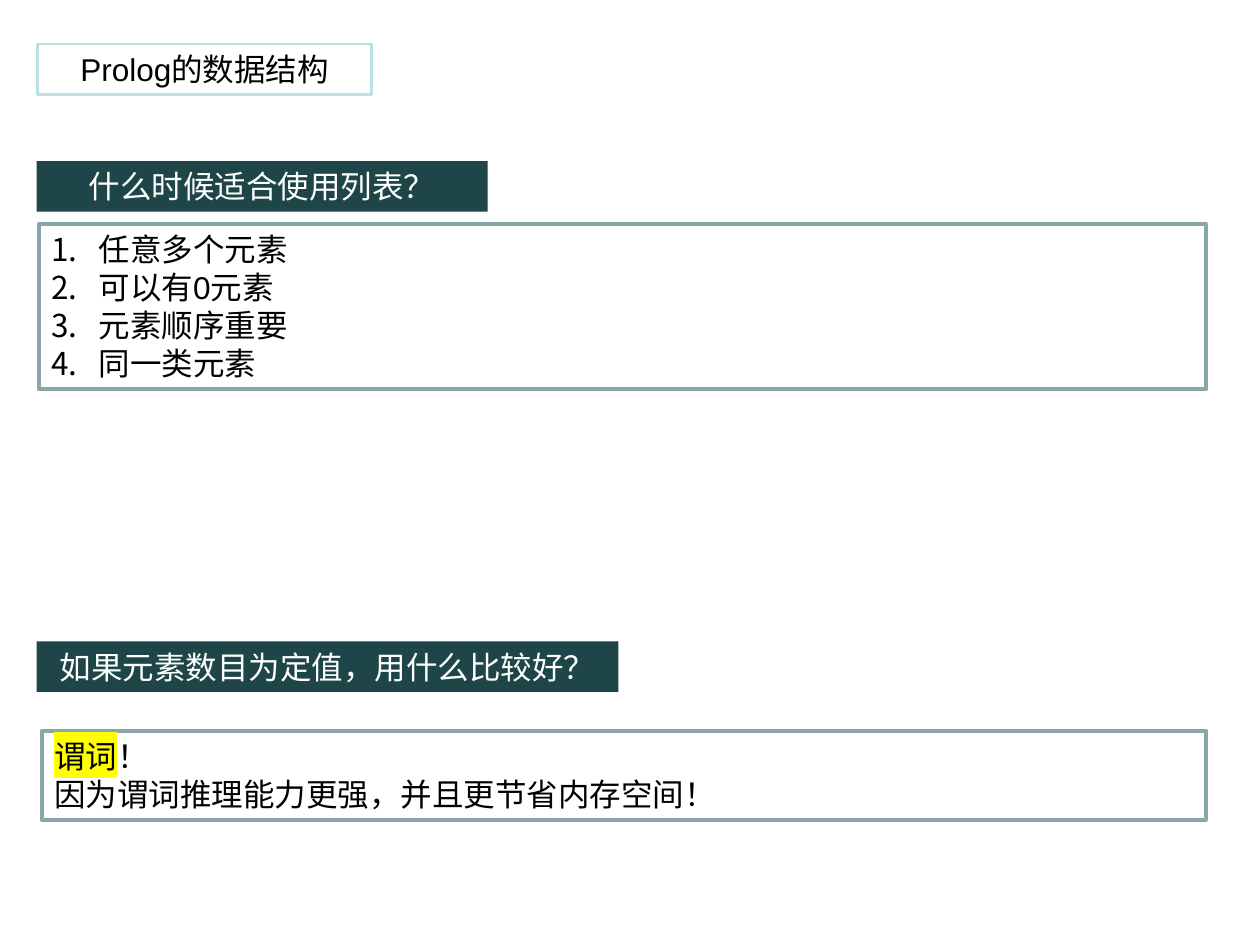
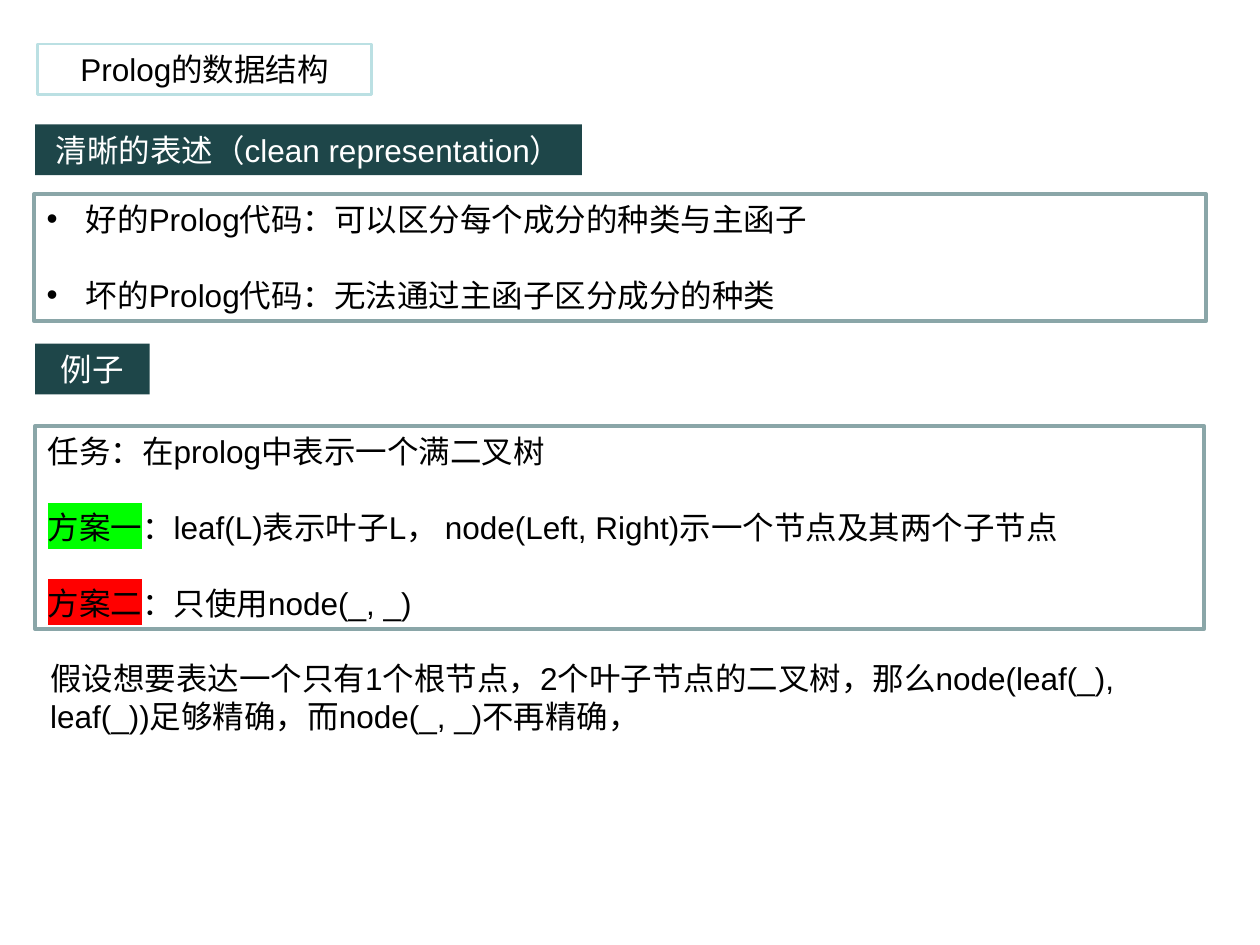
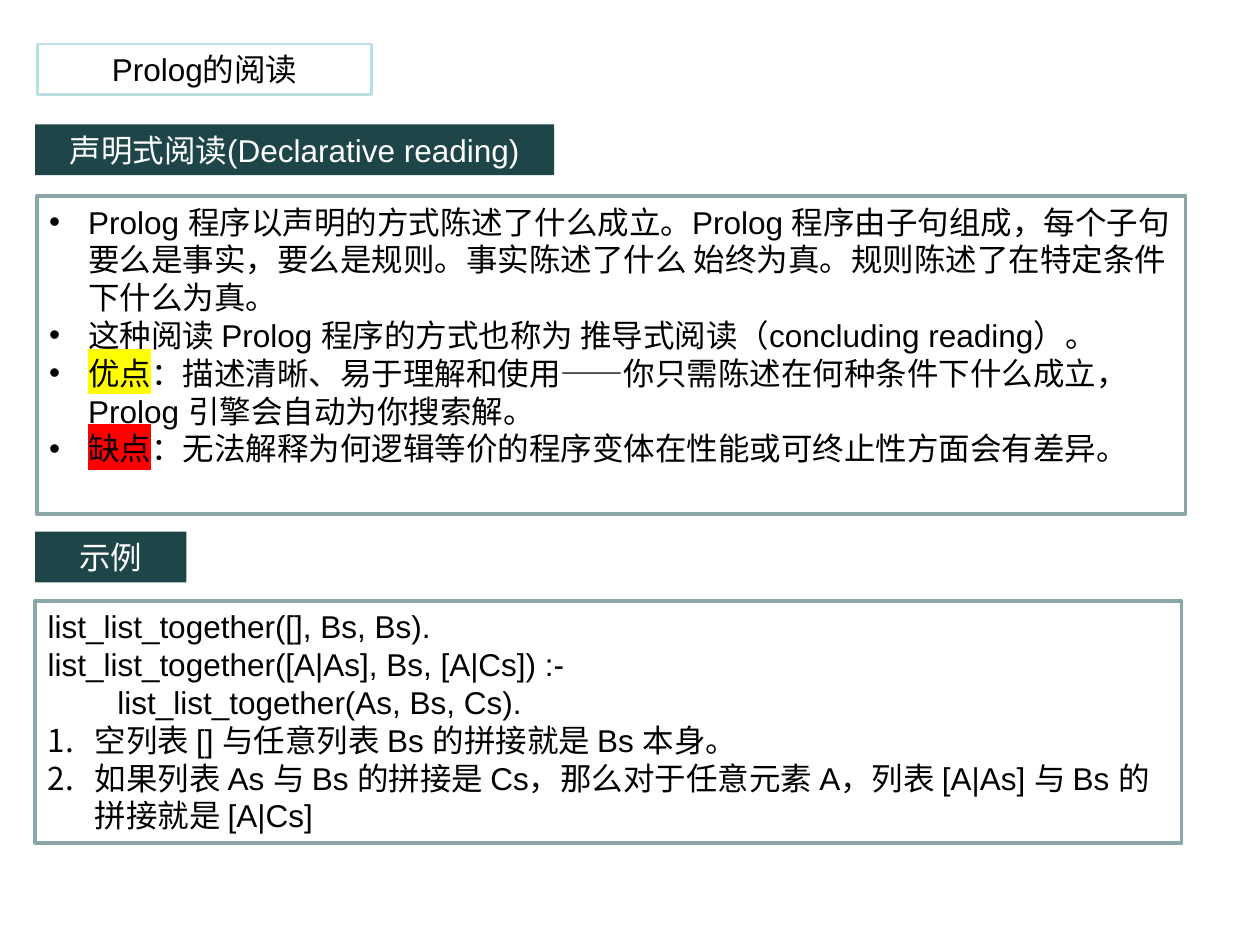
from dataclasses import dataclass

from lxml.etree import SubElement
from pptx import Presentation
from pptx.dml.color import RGBColor
from pptx.enum.lang import MSO_LANGUAGE_ID
from pptx.enum.shapes import MSO_SHAPE
from pptx.enum.text import MSO_ANCHOR, PP_ALIGN
from pptx.oxml.ns import qn
from pptx.util import Cm, Pt


@dataclass(frozen=True)
class Theme:
    font: str = "Arial"
    size: float = 18
    text: str = "000000"
    band_text: str = "FFFFFF"
    band: str = "1E4649"
    title_line: str = "BBE0E3"
    panel_line: str = "8AA6A8"
    title_weight: float = 1.5
    panel_weight: float = 2.25
    blank_line: float = 21.7


@dataclass(frozen=True)
class Line:
    text: str
    marker: str = ""       # "dot", "number" or nothing
    key: str = ""          # highlighted words in front of the text
    highlight: str = ""
    spaced: bool = False   # one line of space above


THEME = Theme()
YELLOW, GREEN, RED = "FFFF00", "00FF00", "FF0000"
LABEL_HEIGHT = 1.02
TITLE_PLACE = (0.76, 0.89, 6.73)
INDENTS = {"dot": 0.79, "number": 0.95}

# Bands: (left, top, width, text). Panels and notes: (left, top, width, height, lines). In cm.
SLIDES = [
    {
        "title": "Prolog的数据结构",
        "bands": [
            (0.74, 3.25, 9.09, "什么时候适合使用列表？"),
            (0.74, 12.93, 11.73, "如果元素数目为定值，用什么比较好？"),
        ],
        "panels": [
            (0.79, 4.52, 23.52, 3.33, [
                Line("任意多个元素", "number"),
                Line("可以有0元素", "number"),
                Line("元素顺序重要", "number"),
                Line("同一类元素", "number"),
            ]),
            (0.84, 14.73, 23.47, 1.8, [
                Line("！", key="谓词", highlight=YELLOW),
                Line("因为谓词推理能力更强，并且更节省内存空间！"),
            ]),
        ],
        "notes": [],
    },
    {
        "title": "Prolog的数据结构",
        "bands": [
            (0.71, 2.51, 11.02, "清晰的表述（clean representation）"),
            (0.71, 6.93, 2.31, "例子"),
        ],
        "panels": [
            (0.69, 3.91, 23.62, 2.57, [
                Line("好的Prolog代码：可以区分每个成分的种类与主函子", "dot"),
                Line("坏的Prolog代码：无法通过主函子区分成分的种类", "dot", spaced=True),
            ]),
            (0.71, 8.59, 23.57, 4.09, [
                Line("任务：在prolog中表示一个满二叉树"),
                Line("：leaf(L)表示叶子L， node(Left, Right)示一个节点及其两个子节点",
                     key="方案一", highlight=GREEN, spaced=True),
                Line("：只使用node(_, _)", key="方案二", highlight=RED, spaced=True),
            ]),
        ],
        "notes": [
            (0.76, 13.16, 23.55, 1.8, [
                Line("假设想要表达一个只有1个根节点，2个叶子节点的二叉树，那么"
                     "node(leaf(_), leaf(_))足够精确，而node(_, _)不再精确，"),
            ]),
        ],
    },
    {
        "title": "Prolog的阅读",
        "bands": [
            (0.71, 2.51, 10.46, "声明式阅读(Declarative reading)"),
            (0.71, 10.72, 3.05, "示例"),
        ],
        "panels": [
            (0.74, 3.96, 23.16, 6.4, [
                Line("Prolog 程序以声明的方式陈述了什么成立。Prolog 程序由子句组成，"
                     "每个子句要么是事实，要么是规则。事实陈述了什么 始终为真。"
                     "规则陈述了在特定条件下什么为真。", "dot"),
                Line("这种阅读 Prolog 程序的方式也称为 推导式阅读（concluding reading）。", "dot"),
                Line("：描述清晰、易于理解和使用——你只需陈述在何种条件下什么成立，"
                     "Prolog 引擎会自动为你搜索解。", "dot", "优点", YELLOW),
                Line("：无法解释为何逻辑等价的程序变体在性能或可终止性方面会有差异。",
                     "dot", "缺点", RED),
            ]),
            (0.71, 12.12, 23.11, 4.88, [
                Line("list_list_together([], Bs, Bs)."),
                Line("list_list_together([A|As], Bs, [A|Cs]) :-"),
                Line("        list_list_together(As, Bs, Cs)."),
                Line("空列表 [] 与任意列表 Bs 的拼接就是 Bs 本身。", "number"),
                Line("如果列表 As 与 Bs 的拼接是 Cs，那么对于任意元素 A，"
                     "列表 [A|As] 与 Bs 的拼接就是 [A|Cs]", "number"),
            ]),
        ],
        "notes": [],
    },
]


def format_run(run, color, highlight=""):
    font = run.font
    font.size = Pt(THEME.size)
    font.color.rgb = RGBColor.from_string(color)
    font.language_id = MSO_LANGUAGE_ID.SIMPLIFIED_CHINESE
    if highlight:
        properties = run._r.get_or_add_rPr()
        mark = SubElement(properties, qn("a:highlight"))
        SubElement(mark, qn("a:srgbClr"), val=highlight)
    font.name = THEME.font


def add_marker(paragraph, marker):
    properties = paragraph._p.get_or_add_pPr()
    indent = Cm(INDENTS[marker])
    properties.set("marL", str(indent))
    properties.set("indent", str(-indent))
    if marker == "dot":
        SubElement(properties, qn("a:buFont"), typeface=THEME.font)
        SubElement(properties, qn("a:buChar"), char="•")
    else:
        SubElement(properties, qn("a:buAutoNum"), type="arabicPeriod")


def write_lines(shape, lines, color=THEME.text, alignment=PP_ALIGN.LEFT, wrap=True):
    text_frame = shape.text_frame
    text_frame.word_wrap = wrap
    text_frame.vertical_anchor = MSO_ANCHOR.TOP
    text_frame.text = "\n".join(line.key or line.text for line in lines)
    for paragraph, line in zip(text_frame.paragraphs, lines):
        if line.marker:
            add_marker(paragraph, line.marker)
        paragraph.alignment = alignment
        if line.spaced:
            paragraph.space_before = Pt(THEME.blank_line)
        if line.key:
            paragraph.add_run().text = line.text
        for run, highlight in zip(paragraph.runs, (line.highlight, "")):
            format_run(run, color, highlight)


def add_box(slide, place, fill=None, line=None, weight=0):
    shape = slide.shapes.add_shape(MSO_SHAPE.RECTANGLE, *map(Cm, place))
    shape.shadow.inherit = False
    if fill:
        shape.fill.solid()
        shape.fill.fore_color.rgb = RGBColor.from_string(fill)
    else:
        shape.fill.background()
    if line:
        shape.line.color.rgb = RGBColor.from_string(line)
        shape.line.width = Pt(weight)
    else:
        shape.line.fill.background()
    return shape


def add_label(slide, place, text, color, **style):
    shape = add_box(slide, (*place, LABEL_HEIGHT), **style)
    write_lines(shape, [Line(text)], color, PP_ALIGN.CENTER, wrap=False)


def build_slide(presentation, content):
    slide = presentation.slides.add_slide(presentation.slide_layouts[6])
    # Title
    add_label(slide, TITLE_PLACE, content["title"], THEME.text,
              line=THEME.title_line, weight=THEME.title_weight)
    # Section bands
    for *place, text in content["bands"]:
        add_label(slide, place, text, THEME.band_text, fill=THEME.band)
    # Framed panels
    for *place, lines in content["panels"]:
        panel = add_box(slide, place, line=THEME.panel_line, weight=THEME.panel_weight)
        write_lines(panel, lines)
    # Unframed notes
    for *place, lines in content["notes"]:
        write_lines(slide.shapes.add_textbox(*map(Cm, place)), lines)


def main():
    presentation = Presentation()
    presentation.slide_width, presentation.slide_height = Cm(25.4), Cm(19.05)
    for content in SLIDES:
        build_slide(presentation, content)
    presentation.save("out.pptx")


if __name__ == "__main__":
    main()
